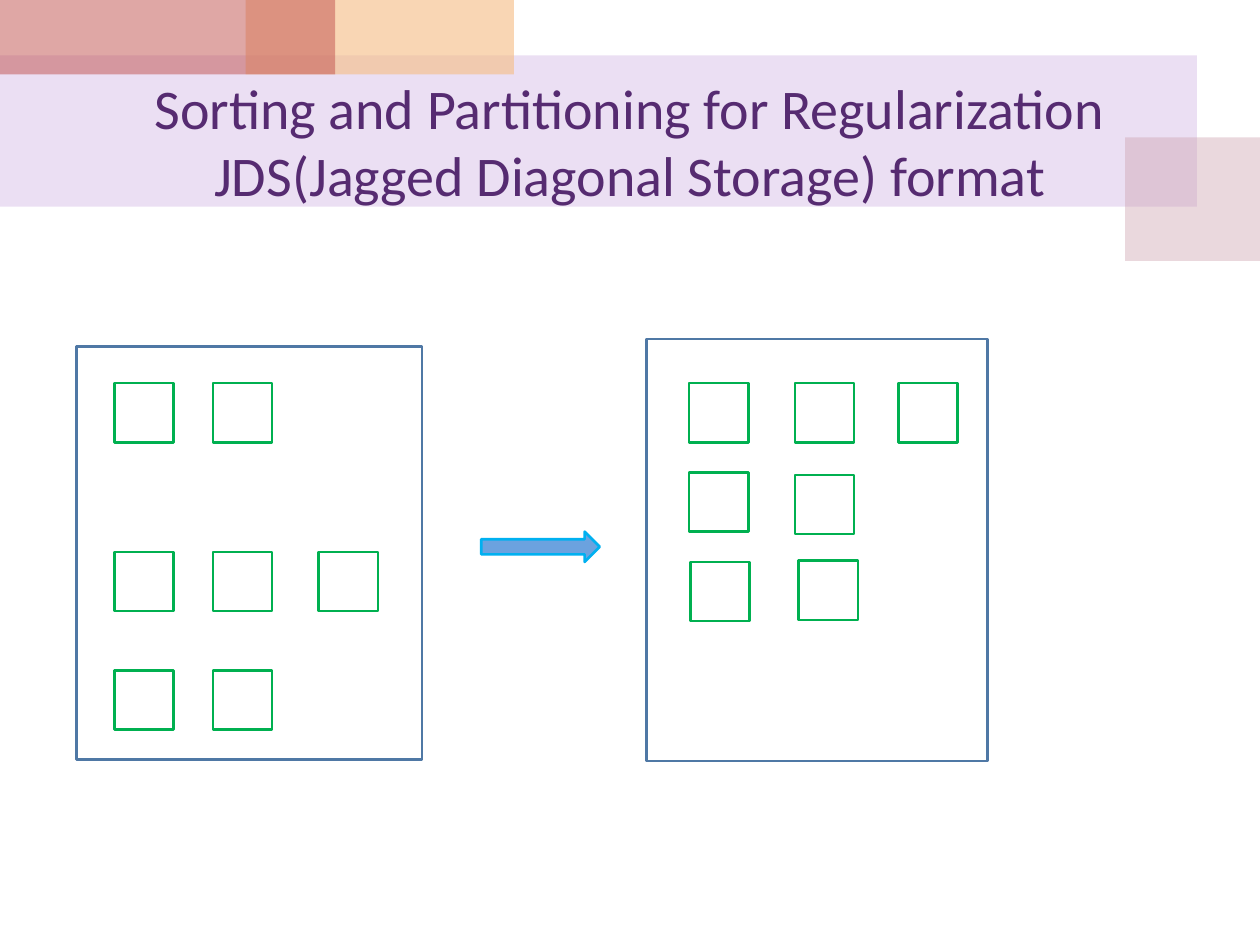
from dataclasses import dataclass

from lxml.etree import SubElement
from pptx import Presentation
from pptx.dml.color import RGBColor as RGB
from pptx.enum.shapes import MSO_SHAPE as Shape
from pptx.enum.text import MSO_ANCHOR as Anchor, MSO_AUTO_SIZE as Fit, PP_ALIGN as Align
from pptx.oxml.ns import qn
from pptx.util import Inches, Pt


@dataclass(frozen=True)
class Theme:
    font: str = "Calibri"
    size: int = 32
    line: float = 1.5
    title: str = "562B71"
    lilac: str = "BF98D8"
    rose: str = "CC9EAC"
    peach: str = "F5BC83"
    red: str = "C0504D"
    frame: str = "4F78A5"
    cell: str = "00B050"
    arrow: str = "6BA2DF"
    edge: str = "00B0F0"


class Deck:
    def __init__(self, theme):
        self.theme = theme
        self.prs = Presentation()
        self.prs.slide_width, self.prs.slide_height = Inches(10), Inches(7.5)
        self.slide = self.prs.slides.add_slide(self.prs.slide_layouts[5])

    def shape(self, box, fill=None, line=None, kind=Shape.RECTANGLE):
        shape = self.slide.shapes.add_shape(kind, *map(Inches, box))
        shape.shadow.inherit = False
        if fill:
            shape.fill.solid()
            shape.fill.fore_color.rgb = RGB.from_string(fill)
        else:
            shape.fill.background()
        if line:
            shape.line.color.rgb = RGB.from_string(line)
            shape.line.width = Pt(self.theme.line)
        else:
            shape.line.fill.background()
        return shape

    def band(self, box, fill, alpha):
        shape = self.shape(box, fill)
        color = shape.element.spPr.find(qn("a:solidFill"))[0]
        SubElement(color, qn("a:alpha"), val=str(alpha * 1000))

    def title(self, box, lines):
        title = self.slide.shapes.title
        title.left, title.top, title.width, title.height = map(Inches, box)
        # Bring the title in front of the bands
        title.element.getparent().append(title.element)
        frame = title.text_frame
        frame.auto_size, frame.word_wrap = Fit.NONE, True
        frame.vertical_anchor = Anchor.MIDDLE
        para = frame.paragraphs[0]
        para.alignment = Align.CENTER
        for i, text in enumerate(lines):
            if i:
                para.add_line_break()
            run = para.add_run()
            run.text = text
            run.font.name, run.font.size = self.theme.font, Pt(self.theme.size)
            run.font.color.rgb = RGB.from_string(self.theme.title)

    def matrix(self, box, cells, side=0.47):
        self.shape(box, line=self.theme.frame)
        for x, y in cells:
            self.shape((x, y, side, side), line=self.theme.cell)

    def arrow(self, box):
        arrow = self.shape(box, self.theme.arrow, self.theme.edge, Shape.RIGHT_ARROW)
        arrow.adjustments[0] = 0.5


def main():
    theme = Theme()
    deck = Deck(theme)

    # Background bands
    deck.band((0, 0.44, 9.5, 1.2), theme.lilac, 30)
    deck.band((8.93, 1.09, 1.07, 0.98), theme.rose, 40)
    deck.band((1.95, 0, 2.13, 0.59), theme.peach, 60)
    deck.band((0, 0, 2.66, 0.59), theme.red, 50)

    deck.title((0.5, 0.59, 9, 1.05), (
        "Sorting and Partitioning for Regularization",
        "JDS(Jagged Diagonal Storage) format"))

    # Rows before sorting: top and number of cells
    cols = (0.91, 1.69, 2.53)
    rows = ((3.04, 2), (4.38, 3), (5.32, 2))
    deck.matrix((0.61, 2.75, 2.74, 3.28),
                [(x, y) for y, count in rows for x in cols[:count]])

    # Rows after sorting, longest first, slightly uneven by hand
    deck.matrix((5.13, 2.69, 2.71, 3.35), [
        (5.47, 3.04), (6.31, 3.04), (7.13, 3.04),
        (5.47, 3.75), (6.31, 3.77),
        (5.48, 4.46), (6.34, 4.45)])

    # Step from one to the other
    deck.arrow((3.82, 4.22, 0.94, 0.24))

    deck.prs.save("out.pptx")


if __name__ == "__main__":
    main()
